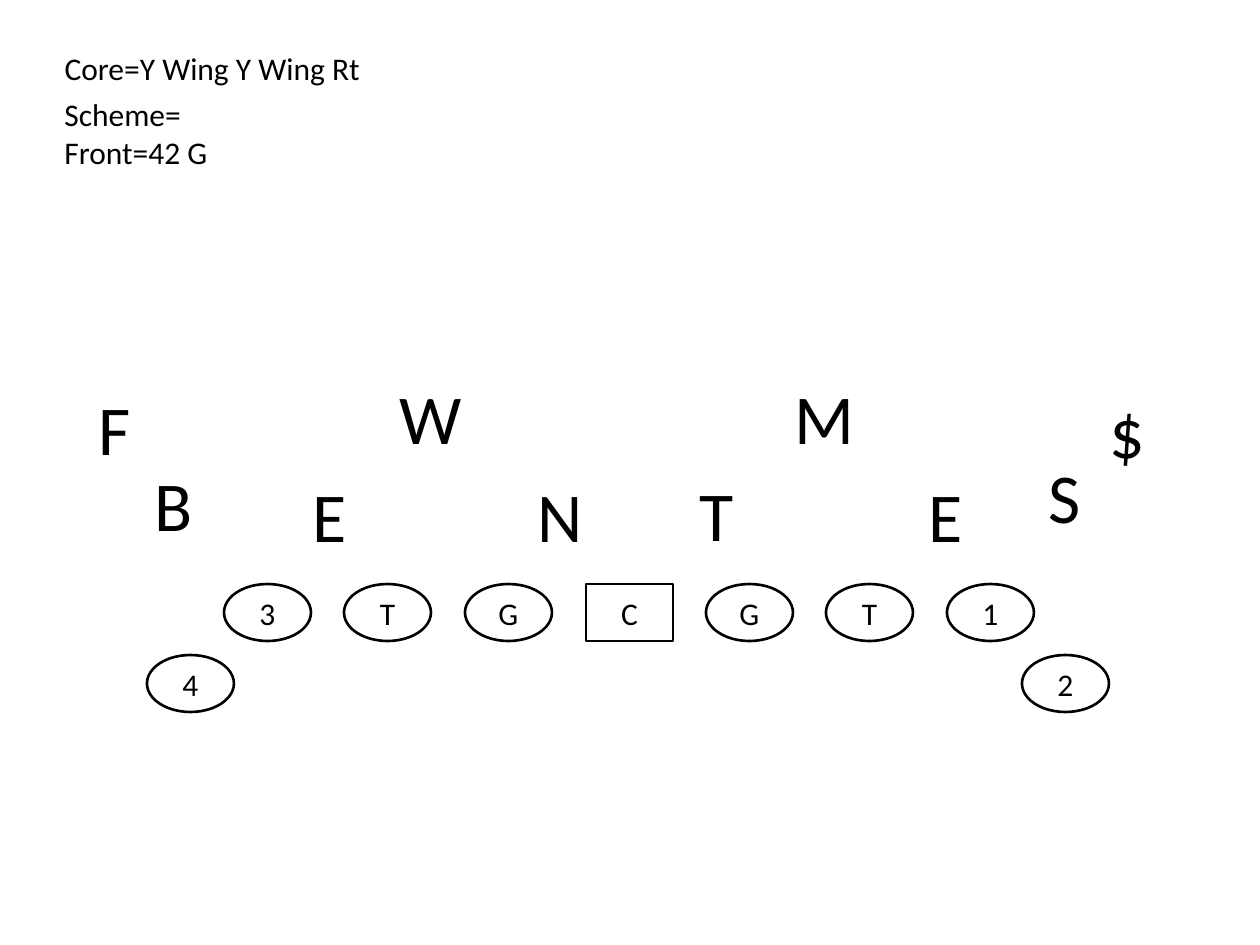
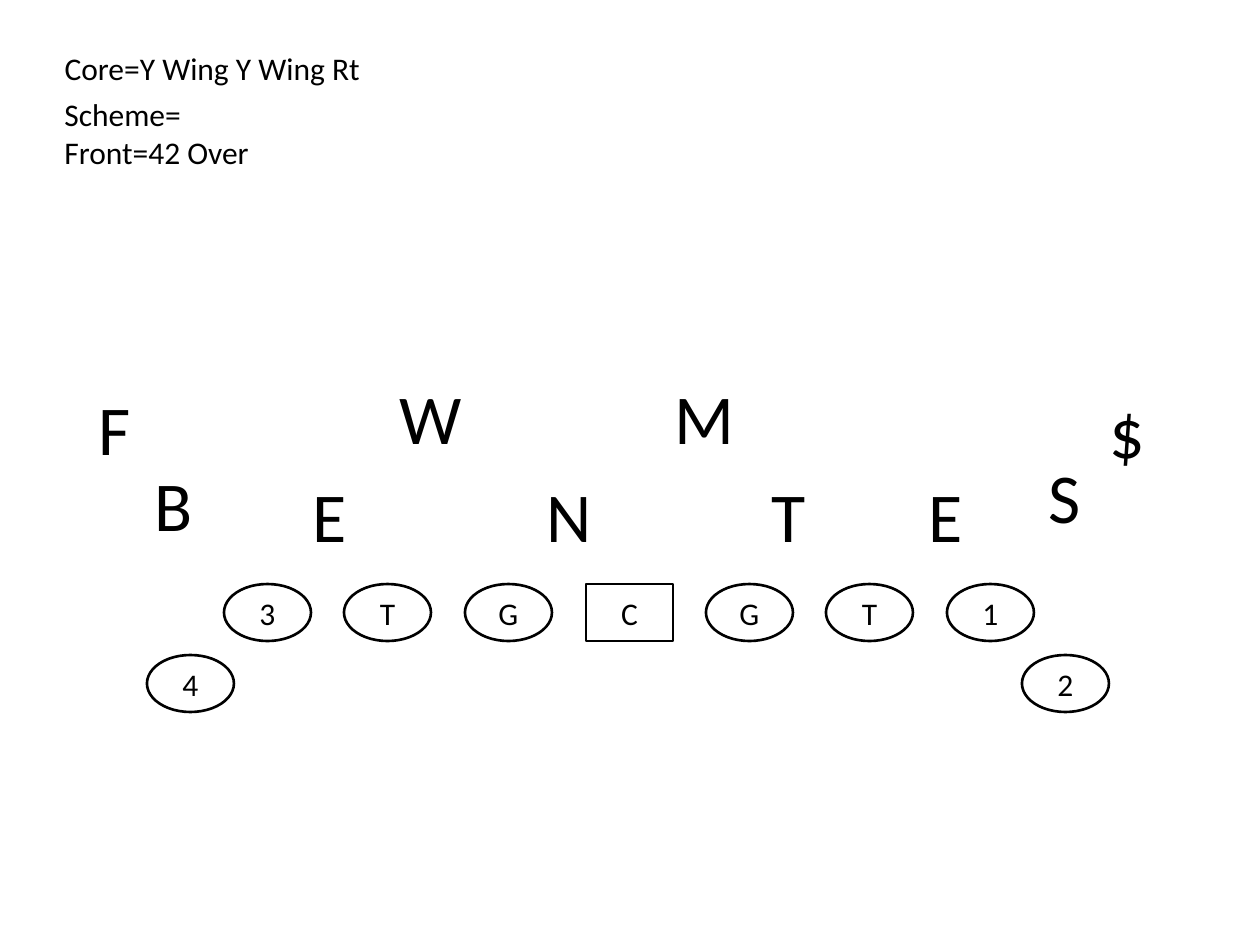
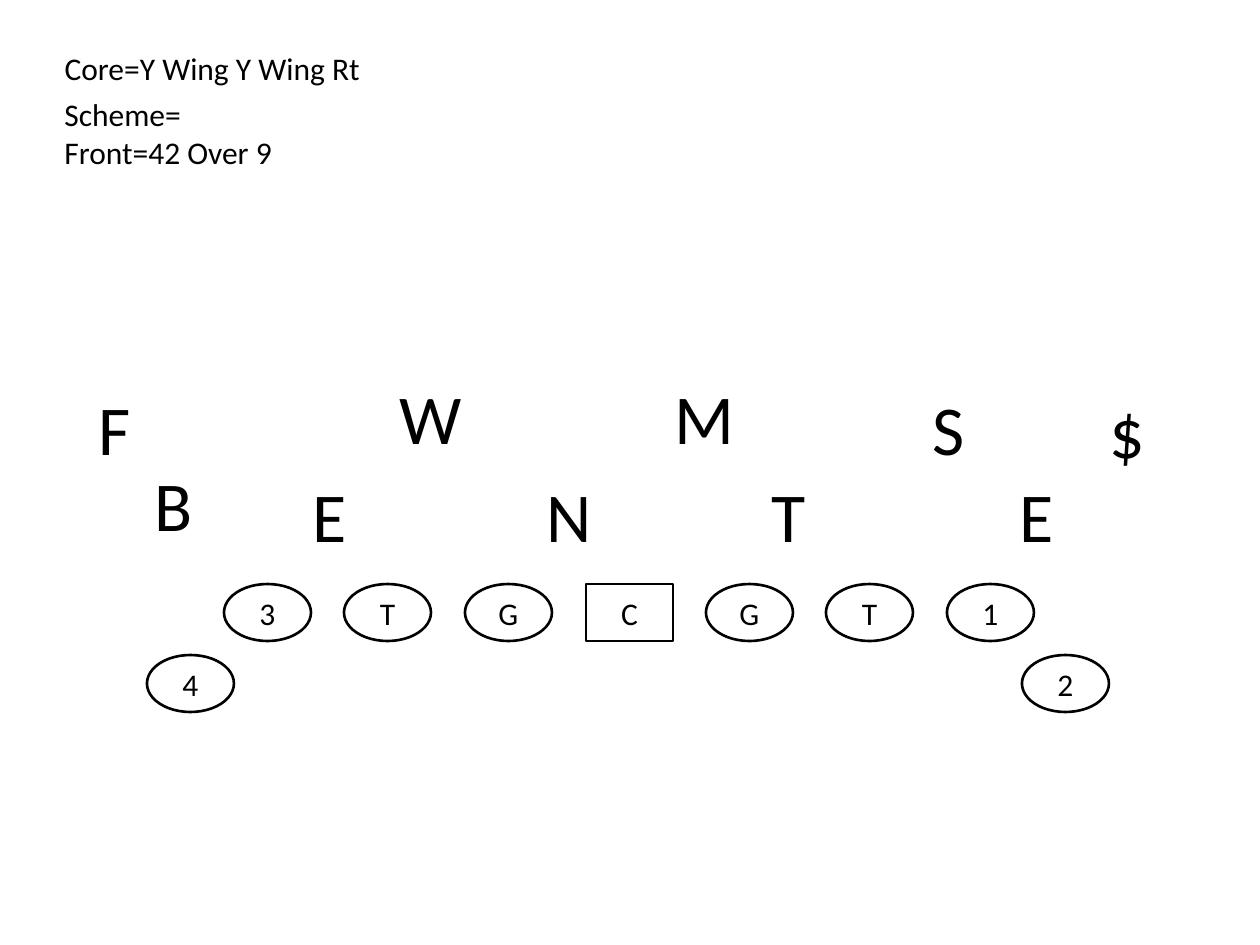
import dataclasses

import pptx
import pptx.dml.color
import pptx.enum.shapes
import pptx.enum.text
import pptx.util

SHAPE = pptx.enum.shapes.MSO_SHAPE
ALIGN = pptx.enum.text.PP_ALIGN
ANCHOR = pptx.enum.text.MSO_ANCHOR
FIT = pptx.enum.text.MSO_AUTO_SIZE


@dataclasses.dataclass(frozen=True)
class Theme:
    ink: str = "000000"
    paper: str = "FFFFFF"
    font: str = "Calibri"
    label: int = 18
    mark: int = 40
    line: float = 1.5


THEME = Theme()
SCALE = 914400 / 126  # EMU in one px

# Offense: seven men evenly spaced on the line, two wings behind
LINE = "3TGCGT1"
FIRST, LAST, LINE_TOP = 224, 947, 584
WINGS = [("4", 147), ("2", 1022)]
WING_TOP = 655
MAN_W, MAN_H = 87, 57

# Defense: letter, left and top of each role
BASE = {
    "nose": ("N", 525, 466),
    "tackle": ("T", 687, 465),
    "right end": ("E", 916, 466),
    "left end": ("E", 300, 466),
    "will": ("W", 387, 368),
    "mike": ("M", 782, 368),
    "sam": ("S", 1036, 447),
    "bandit": ("B", 142, 455),
    "strong": ("$", 1097, 382),
    "free": ("F", 86, 379),
}
OVER = BASE | {
    "nose": ("N", 534, 466),
    "tackle": ("T", 759, 466),
    "mike": ("M", 662, 368),
}
NINE = OVER | {
    "right end": ("E", 1007, 466),
    "sam": ("S", 920, 379),
}
WIDTHS = {"N": 71, "W": 88, "M": 88, "B": 64, "$": 49, "F": 44}
MARK_W, MARK_H = 60, 97

# Front name, width of its note, defense
FRONTS = [("42 G", 170, BASE), ("42 Over", 219, OVER), ("42 Over 9", 236, NINE)]
NOTE_X, NOTE_H = 52, 50


def px(count):
    return pptx.util.Emu(round(count * SCALE))


def color(code):
    return pptx.dml.color.RGBColor.from_string(code)


def write(shape, text, size, align=ALIGN.LEFT):
    para = shape.text_frame.paragraphs[0]
    para.text = text
    para.alignment = align
    font = para.runs[0].font
    font.name = THEME.font
    font.size = pptx.util.Pt(size)
    font.color.rgb = color(THEME.ink)


def fit(shape, wrap=False):
    frame = shape.text_frame
    frame.word_wrap = wrap
    frame.auto_size = FIT.SHAPE_TO_FIT_TEXT
    frame.vertical_anchor = ANCHOR.TOP


def add_title(slide, text, top, width):
    title = slide.shapes.title
    title.left, title.top = px(NOTE_X), px(top)
    title.width, title.height = px(width), px(NOTE_H)
    fit(title)
    write(title, text, THEME.label)


def add_text(slide, text, size, box, wrap=False):
    shape = slide.shapes.add_textbox(*map(px, box))
    fit(shape, wrap)
    write(shape, text, size)


def add_note(slide, text, top, width):
    add_text(slide, text, THEME.label, (NOTE_X, top, width, NOTE_H))


def add_mark(slide, text, left, top):
    box = (left, top, WIDTHS.get(text, MARK_W), MARK_H)
    add_text(slide, text, THEME.mark, box, wrap=text in "$F")


def add_man(slide, text, left, top):
    kind = SHAPE.RECTANGLE if text == "C" else SHAPE.OVAL
    man = slide.shapes.add_shape(kind, *map(px, (left, top, MAN_W, MAN_H)))
    man.shadow.inherit = False
    man.fill.solid()
    man.fill.fore_color.rgb = color(THEME.paper)
    man.line.color.rgb = color(THEME.ink)
    man.line.width = pptx.util.Pt(THEME.line)
    man.text_frame.vertical_anchor = ANCHOR.MIDDLE
    write(man, text, THEME.label, ALIGN.CENTER)


def add_team(slide):
    step = (LAST - FIRST) / (len(LINE) - 1)
    for spot, text in enumerate(LINE):
        add_man(slide, text, round(FIRST + step * spot), LINE_TOP)
    for text, left in WINGS:
        add_man(slide, text, left, WING_TOP)


def main():
    deck = pptx.Presentation()
    deck.slide_width, deck.slide_height = px(1260), px(945)
    layout = deck.slide_layouts.get_by_name("Title Only")
    for front, width, marks in FRONTS:
        slide = deck.slides.add_slide(layout)
        add_title(slide, "Core=Y Wing Y Wing Rt", 43, 324)
        add_note(slide, "Scheme=", 89, 144)
        add_note(slide, f"Front={front}", 127, width)
        add_team(slide)
        for text, left, top in marks.values():
            add_mark(slide, text, left, top)
    deck.save("out.pptx")


if __name__ == "__main__":
    main()
